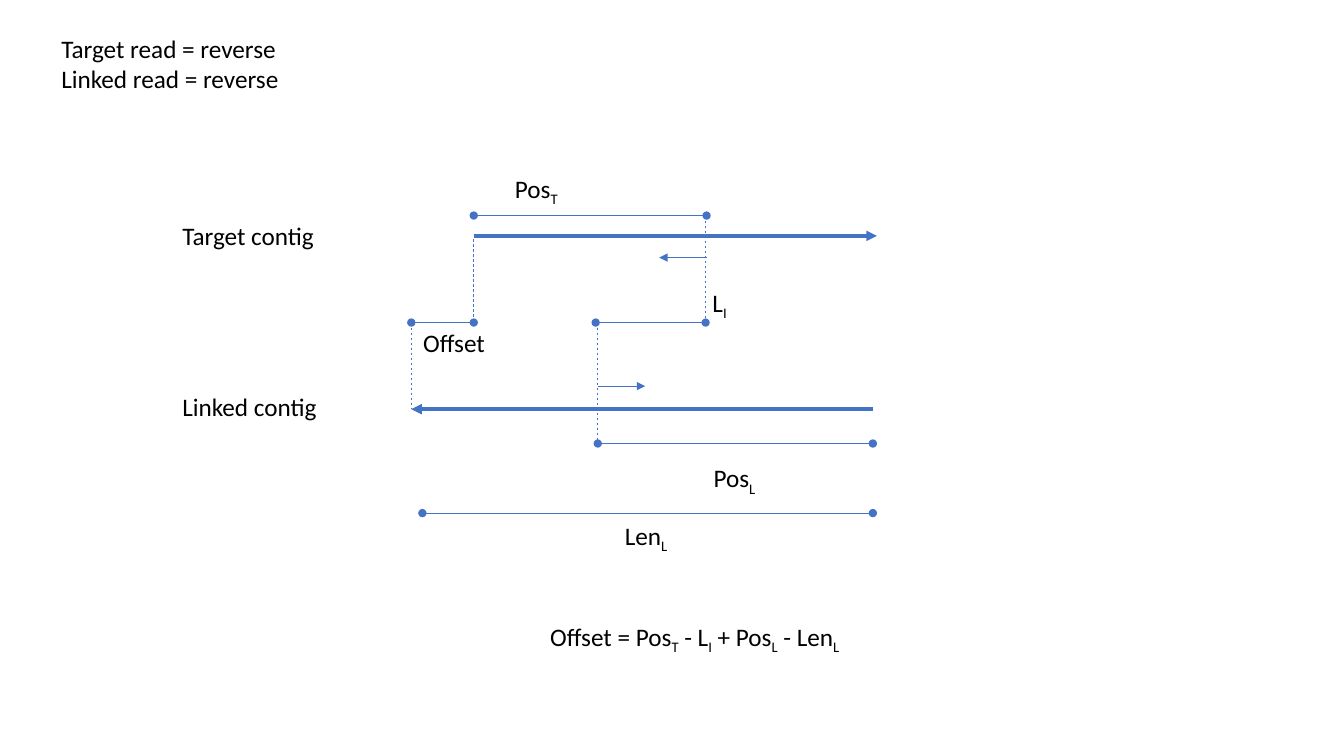
from dataclasses import dataclass

from lxml.etree import SubElement
from pptx import Presentation
from pptx.dml.color import RGBColor
from pptx.enum.dml import MSO_LINE_DASH_STYLE as DASH
from pptx.enum.shapes import MSO_CONNECTOR as CONN
from pptx.enum.text import MSO_AUTO_SIZE as FIT
from pptx.oxml.ns import qn
from pptx.util import Pt


@dataclass(frozen=True)
class Theme:
    line: RGBColor = RGBColor(0x44, 0x72, 0xC4)
    text: RGBColor = RGBColor(0, 0, 0)
    font: str = "Calibri"
    size: float = 18
    thin: float = 0.5
    thick: float = 2.5


class Diagram:
    def __init__(self, slide, theme):
        self.s = slide
        self.theme = theme

    def label(self, text, x, y, w, h=29):
        """Add a text box; the character after each "_" is a subscript."""
        sp = self.s.shapes.add_textbox(Pt(x), Pt(y), Pt(w), Pt(h))
        tf = sp.text_frame
        tf.word_wrap = False
        tf.auto_size = FIT.SHAPE_TO_FIT_TEXT
        for i, row in enumerate(text.split("\n")):
            p = tf.paragraphs[0] if i == 0 else tf.add_paragraph()
            p.font.name = self.theme.font
            p.font.size = Pt(self.theme.size)
            p.font.color.rgb = self.theme.text
            first, *rest = row.split("_")
            p.add_run().text = first
            for part in rest:
                r = p.add_run()
                r.text = part[0]
                r.font._element.set("baseline", "-25000")
                if part[1:]:
                    p.add_run().text = part[1:]

    def line(self, x1, y1, x2, y2, width=None, head=None, tail=None):
        sp = self.s.shapes.add_connector(
            CONN.STRAIGHT, Pt(x1), Pt(y1), Pt(x2), Pt(y2))
        sp.line.color.rgb = self.theme.line
        sp.line.width = Pt(width or self.theme.thin)
        ln = sp.line._get_or_add_ln()
        for tag, kind in (("a:headEnd", head), ("a:tailEnd", tail)):
            if kind:
                SubElement(ln, qn(tag)).set("type", kind)
        SubElement(sp._element.spPr, qn("a:effectLst"))
        return sp

    def arrow(self, x1, x2, y, width=None):
        self.line(x1, y, x2, y, width, tail="triangle")

    def span(self, x1, x2, y):
        self.line(x1, y, x2, y, head="oval", tail="oval")

    def guide(self, x, y1, y2):
        self.line(x, y1, x, y2).line.dash_style = DASH.DASH


def main():
    prs = Presentation()
    prs.slide_width, prs.slide_height = Pt(960), Pt(540)
    theme = Theme()
    d = Diagram(prs.slides.add_slide(prs.slide_layouts[6]), theme)

    # Shared positions along the contigs
    linked_end, target_start = 293.8, 338.4
    linked_read, target_read = 427, 504
    linked_start = 623.5
    pos_t_y, offset_y, linked_y, pos_l_y = 154, 230.4, 292.3, 316.8

    # Contigs and their reads
    d.arrow(target_start, 626.4, 168.5, theme.thick)
    d.arrow(linked_start, linked_end, linked_y, theme.thick)
    d.arrow(504.7, 470.9, 184)
    d.arrow(linked_read, 460.8, 275.8)

    # Dashed guides
    d.guide(target_start, 170.6, 231.8)
    d.guide(linked_end, offset_y, linked_y)
    d.guide(target_read, pos_t_y, offset_y)
    d.guide(linked_read, offset_y, pos_l_y)

    # Measured spans
    d.span(target_start, 504.7, pos_t_y)
    d.span(target_start, linked_end, offset_y)
    d.span(target_read, 425.5, offset_y)
    d.span(linked_start, linked_read, pos_l_y)
    d.span(linked_start, 301.7, 366.5)

    # Labels and formula
    d.label("Target read = reverse\nLinked read = reverse", 36.7, 20.2, 175.7, 51)
    d.label("Target contig", 123.1, 154.1, 109.4)
    d.label("Linked contig", 123.1, 275.8, 111.6)
    d.label("Pos_T", 360.7, 120.2, 46)
    d.label("L_I", 501.8, 201.6, 25.2)
    d.label("Offset", 295.2, 230.4, 59)
    d.label("Pos_L", 502.6, 326.9, 45.4)
    d.label("Len_L", 439.2, 367.9, 46)
    d.label("Offset = Pos_T - L_I + Pos_L - Len_L", 385.9, 439.9, 232.6)

    prs.save("out.pptx")


if __name__ == "__main__":
    main()
